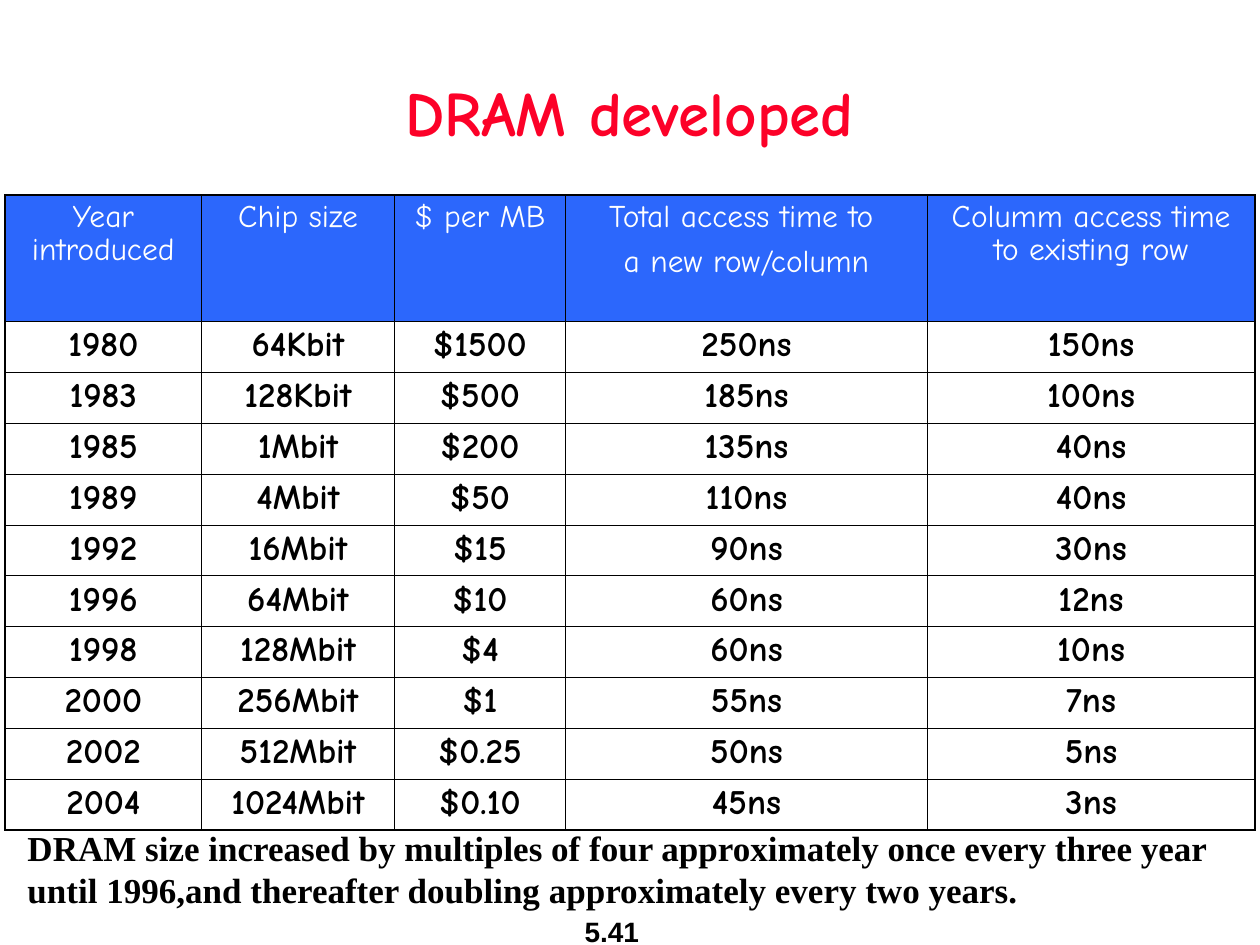
import dataclasses

import pptx
import pptx.dml.color
import pptx.enum.text
import pptx.oxml
import pptx.oxml.ns
import pptx.util

ALIGN = pptx.enum.text.PP_ALIGN
ANCHOR = pptx.enum.text.MSO_ANCHOR
AUTO_SIZE = pptx.enum.text.MSO_AUTO_SIZE


@dataclasses.dataclass(frozen=True)
class TextStyle:
    face: str
    size: float
    color: str
    bold: bool = True
    align: ALIGN = ALIGN.CENTER
    spacing: float = 1.0


@dataclasses.dataclass(frozen=True)
class Theme:
    title: TextStyle = TextStyle("Comic Neue", 36, "FC0128", spacing=0.9)
    header: TextStyle = TextStyle("Comic Neue", 18, "FFFFFF", bold=False, spacing=0.9)
    body: TextStyle = TextStyle("Comic Neue", 20, "000000", spacing=0.9)
    note: TextStyle = TextStyle("Times New Roman", 20, "000000", align=ALIGN.LEFT)
    number: TextStyle = TextStyle("Arial", 16, "000000")
    header_fill: str = "2C67FC"
    rule: str = "000000"
    inner_rule: float = 0.45
    outer_rule: float = 1.08
    paragraph_gap: float = 6.8


class SlideBuilder:
    COLUMNS, ROWS = 100, 75

    def __init__(self, deck, theme):
        self.theme = theme
        self.column = deck.slide_width / self.COLUMNS
        self.row = deck.slide_height / self.ROWS
        self.page = deck.slides.add_slide(deck.slide_layouts[6])

    def place(self, left, top, width, height):
        return (
            round(left * self.column),
            round(top * self.row),
            round(width * self.column),
            round(height * self.row),
        )

    def fill_text(self, frame, text, style):
        for index, line in enumerate(text.split("\n")):
            para = frame.add_paragraph() if index else frame.paragraphs[0]
            para.text = line
            para.alignment = style.align
            para.line_spacing = style.spacing
            para.space_before = pptx.util.Pt(self.theme.paragraph_gap if index else 0)
            para.font.name = style.face
            para.font.size = pptx.util.Pt(style.size)
            para.font.bold = style.bold
            para.font.color.rgb = pptx.dml.color.RGBColor.from_string(style.color)

    def text(self, text, style, area, anchor=ANCHOR.TOP, wrap=True, grow=False):
        box = self.page.shapes.add_textbox(*self.place(*area))
        frame = box.text_frame
        frame.word_wrap = wrap
        frame.vertical_anchor = anchor
        frame.auto_size = AUTO_SIZE.SHAPE_TO_FIT_TEXT if grow else AUTO_SIZE.NONE
        self.fill_text(frame, text, style)

    def border(self, cell, outer_sides):
        properties = cell._tc.get_or_add_tcPr()
        for side in "LRTB":
            points = self.theme.outer_rule if side in outer_sides else self.theme.inner_rule
            properties.append(pptx.oxml.parse_xml(
                f'<a:ln{side} {pptx.oxml.ns.nsdecls("a")} w="{pptx.util.Pt(points)}">'
                f'<a:solidFill><a:srgbClr val="{self.theme.rule}"/></a:solidFill>'
                f'</a:ln{side}>'
            ))

    def table(self, records, left, top, widths, header_height, row_height):
        last_row, last_column = len(records) - 1, len(widths) - 1
        height = header_height + last_row * row_height
        area = self.place(left, top, sum(widths), height)
        grid = self.page.shapes.add_table(len(records), len(widths), *area).table
        grid.first_row = grid.horz_banding = False
        for column, width in zip(grid.columns, widths):
            column.width = round(width * self.column)
        for r, record in enumerate(records):
            grid.rows[r].height = round((row_height if r else header_height) * self.row)
            for c, value in enumerate(record):
                cell = grid.cell(r, c)
                edges = {"L": c == 0, "R": c == last_column, "T": r == 0, "B": r == last_row}
                self.border(cell, [side for side, outer in edges.items() if outer])
                if r:
                    cell.fill.background()
                else:
                    cell.fill.solid()
                    cell.fill.fore_color.rgb = pptx.dml.color.RGBColor.from_string(
                        self.theme.header_fill
                    )
                self.fill_text(cell.text_frame, value, self.theme.body if r else self.theme.header)


DRAM_HISTORY = [
    ("Year introduced", "Chip size", "$ per MB",
     "Total access time to \na new row/column", "Columm access time to existing row"),
    ("1980", "64Kbit", "$1500", "250ns", "150ns"),
    ("1983", "128Kbit", "$500", "185ns", "100ns"),
    ("1985", "1Mbit", "$200", "135ns", "40ns"),
    ("1989", "4Mbit", "$50", "110ns", "40ns"),
    ("1992", "16Mbit", "$15", "90ns", "30ns"),
    ("1996", "64Mbit", "$10", "60ns", "12ns"),
    ("1998", "128Mbit", "$4", "60ns", "10ns"),
    ("2000", "256Mbit", "$1", "55ns", "7ns"),
    ("2002", "512Mbit", "$0.25", "50ns", "5ns"),
    ("2004", "1024Mbit", "$0.10", "45ns", "3ns"),
]


def main():
    deck = pptx.Presentation()
    deck.slide_width = pptx.util.Inches(10)
    deck.slide_height = pptx.util.Inches(7.5)
    theme = Theme()
    builder = SlideBuilder(deck, theme)
    builder.text("5.41", theme.number, (41.3, 72.1, 14.5, 3.7),
                 anchor=ANCHOR.MIDDLE, wrap=False, grow=True)
    builder.text("DRAM developed", theme.title, (10.8, 5.2, 78.3, 8), anchor=ANCHOR.MIDDLE)
    builder.table(DRAM_HISTORY, left=0.4, top=15.5, widths=(15.6, 15.3, 13.6, 28.7, 26),
                  header_height=10, row_height=4.04)
    builder.text(
        "DRAM size increased by multiples of four approximately once every three year "
        "until 1996,and thereafter doubling approximately every two years.",
        theme.note, (1.2, 65.1, 95.7, 7.7), grow=True,
    )
    deck.save("out.pptx")


if __name__ == "__main__":
    main()
